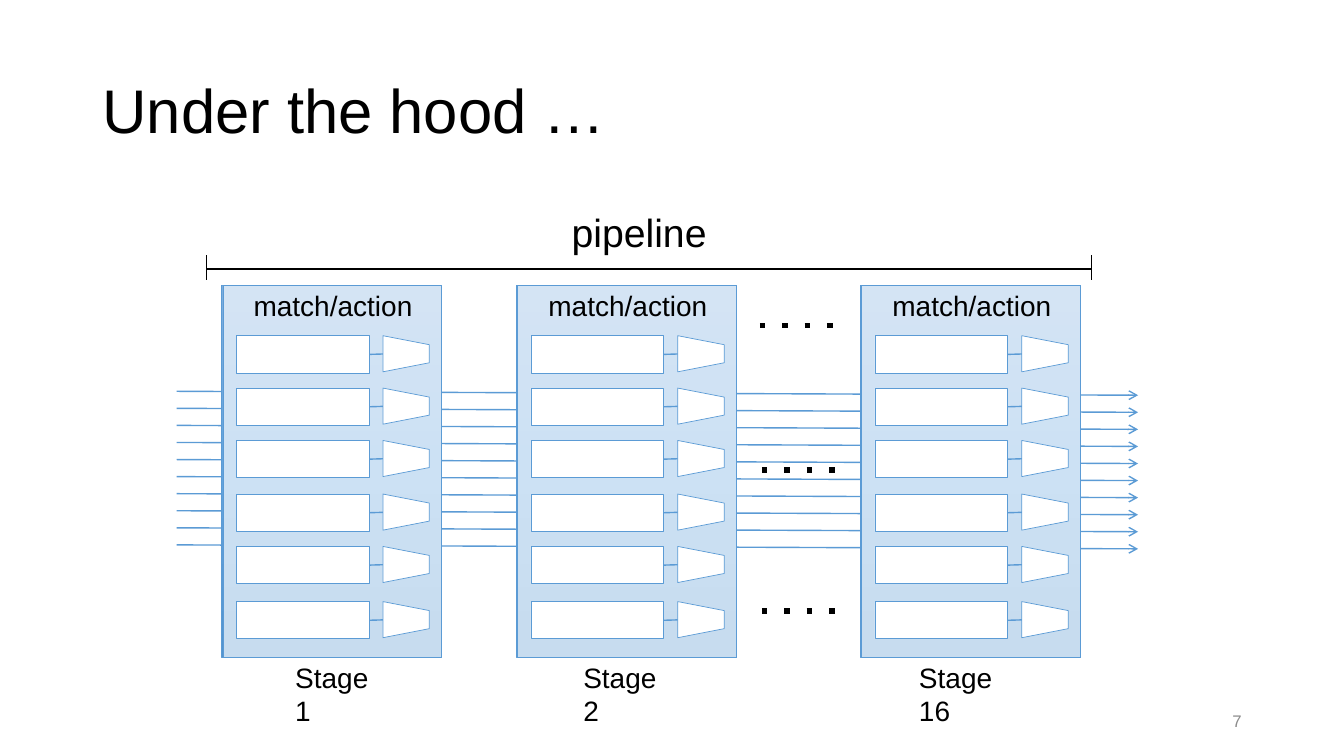
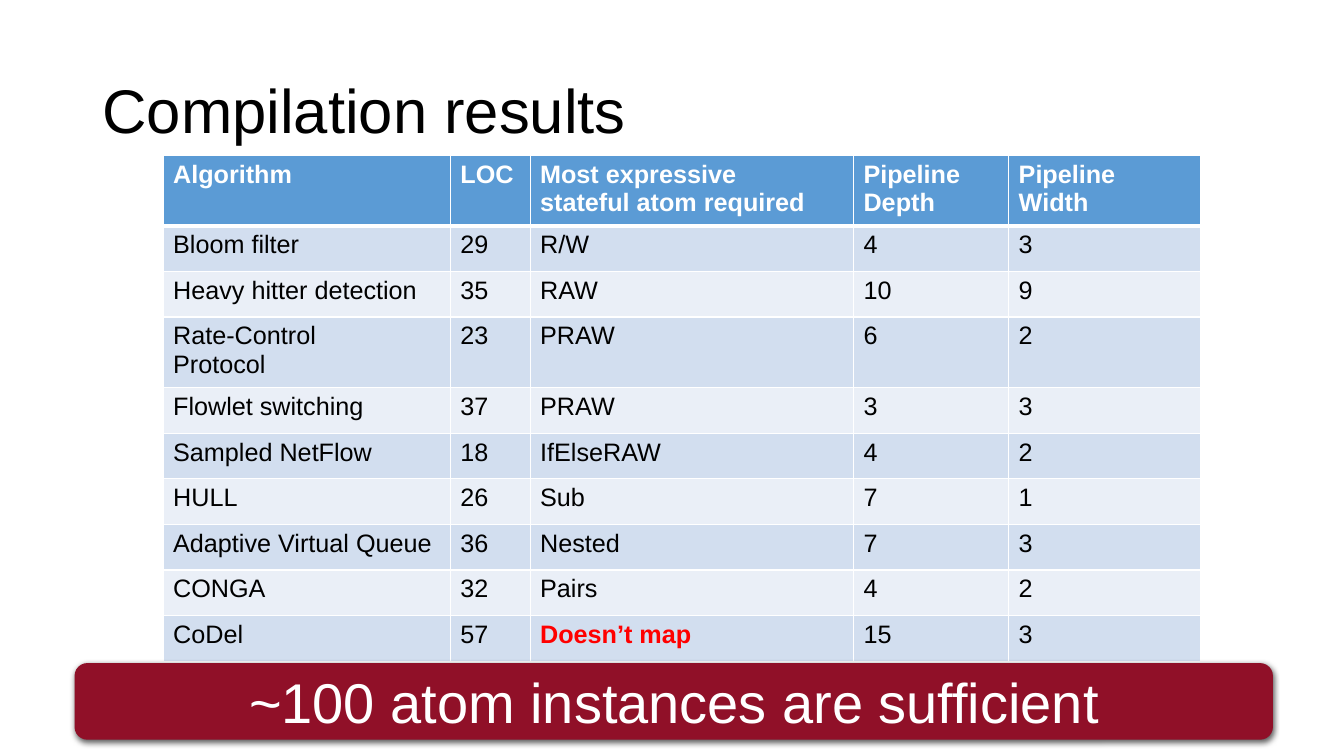
from copy import deepcopy
from dataclasses import dataclass

from lxml.etree import SubElement as add_sub
from pptx import Presentation
from pptx.dml.color import RGBColor
from pptx.enum.shapes import MSO_CONNECTOR as Link, MSO_SHAPE as Kind
from pptx.enum.text import MSO_ANCHOR as Anchor, PP_ALIGN as Align
from pptx.oxml.ns import qn
from pptx.util import Cm, Pt

BLACK = RGBColor(0x00, 0x00, 0x00)
WHITE = RGBColor(0xFF, 0xFF, 0xFF)
GRAY = RGBColor(0x8C, 0x8C, 0x8C)
BLUE = RGBColor(0x5B, 0x9B, 0xD5)
RED = RGBColor(0xFF, 0x00, 0x00)
WINE = RGBColor(0x90, 0x10, 0x28)
BANDS = (RGBColor(0xD2, 0xDE, 0xEF), RGBColor(0xEA, 0xEF, 0xF7))
FADE = (
    RGBColor(0x71, 0xA6, 0xDB),
    RGBColor(0x55, 0x9B, 0xDB),
    RGBColor(0x44, 0x8A, 0xCA),
)
FONT = "Arial"
WIDE_PADS = (0.36, 0.18)

STAGE_TOP, STAGE_W, STAGE_H = 7.19, 5.54, 9.37
UNIT_TOPS = (8.46, 9.78, 11.1, 12.45, 13.77, 15.16)
WIRES, WIRE_TOP, WIRE_STEP = 10, 9.86, 0.43

COLS = (7.24, 2.01, 8.15, 3.91, 4.83)
HEAD_H, ROW_H = 1.63, 1.15
ALERT = "Doesn’t map"
ROWS = (
    ("Algorithm", "LOC", "Most expressive\nstateful atom required",
     "Pipeline\nDepth", "Pipeline\nWidth"),
    ("Bloom filter", "29", "R/W", "4", "3"),
    ("Heavy hitter detection", "35", "RAW", "10", "9"),
    ("Rate-Control\nProtocol", "23", "PRAW", "6", "2"),
    ("Flowlet switching", "37", "PRAW", "3", "3"),
    ("Sampled NetFlow", "18", "IfElseRAW", "4", "2"),
    ("HULL", "26", "Sub", "7", "1"),
    ("Adaptive Virtual Queue", "36", "Nested", "7", "3"),
    ("CONGA", "32", "Pairs", "4", "2"),
    ("CoDel", "57", ALERT, "15", "3"),
)


@dataclass(frozen=True)
class Stage:
    name: str
    left: float
    tag_left: float
    tag_w: float


@dataclass(frozen=True)
class Dots:
    left: float
    top: float


STAGES = (
    Stage("Stage 1", 5.59, 7.19, 2.62),
    Stage("Stage 2", 13.02, 14.45, 2.72),
    Stage("Stage 16", 21.69, 22.91, 3.0),
)
DOTS = (Dots(19.15, 8.2), Dots(19.2, 15.39), Dots(19.2, 11.84))


def write(frame, text: str, *, size: float = 18, ink: RGBColor = BLACK,
          bold: bool = False, align=Align.LEFT, lead: float = 1.0) -> None:
    frame.text = text
    for para in frame.paragraphs:
        para.alignment = align
        para.line_spacing = lead
        font = para.font
        font.name, font.size, font.bold = FONT, Pt(size), bold
        font.color.rgb = ink


def label(slide, x: float, y: float, w: float, h: float, text: str, *,
          pads: tuple = (0.25, 0.13), anchor=Anchor.TOP, **style) -> None:
    frame = slide.shapes.add_textbox(Cm(x), Cm(y), Cm(w), Cm(h)).text_frame
    frame.word_wrap = True
    frame.vertical_anchor = anchor
    frame.margin_left = frame.margin_right = Cm(pads[0])
    frame.margin_top = frame.margin_bottom = Cm(pads[1])
    write(frame, text, **style)


def block(slide, x: float, y: float, w: float, h: float, *,
          kind=Kind.RECTANGLE, fill: RGBColor = WHITE,
          edge: RGBColor | None = BLUE):
    shape = slide.shapes.add_shape(kind, Cm(x), Cm(y), Cm(w), Cm(h))
    shape.shadow.inherit = False
    shape.fill.solid()
    shape.fill.fore_color.rgb = fill
    if edge is None:
        shape.line.fill.background()
    else:
        shape.line.color.rgb = edge
        shape.line.width = Pt(0.5)
    return shape


def rule(slide, x1: float, y1: float, x2: float, y2: float, *,
         ink: RGBColor = BLUE, width: float = 1, dash: str = "",
         tail: str = ""):
    line = slide.shapes.add_connector(
        Link.STRAIGHT, Cm(x1), Cm(y1), Cm(x2), Cm(y2))
    line.line.color.rgb = ink
    line.line.width = Pt(width)
    props = line._element.spPr
    stroke = props.find(qn("a:ln"))
    if dash:
        add_sub(stroke, qn("a:prstDash"), val=dash)
    if tail:
        add_sub(stroke, qn("a:tailEnd"), type=tail)
    add_sub(props, qn("a:effectLst"))
    return line


def blend(shape) -> None:
    shape.fill.gradient()
    shape.fill.gradient_angle = 270
    stops = shape._element.spPr.find(".//" + qn("a:gsLst"))
    stops.insert(1, deepcopy(stops[0]))
    for i, (stop, tint) in enumerate(zip(shape.fill.gradient_stops, FADE)):
        stop.color.rgb = tint
        stop.position = i / 2


def veil(shape, share: int) -> None:
    tint = shape._element.spPr.find(".//" + qn("a:srgbClr"))
    add_sub(tint, qn("a:alpha"), val=str(share * 1000))


def shade(shape) -> None:
    glow = add_sub(
        shape._element.spPr.find(qn("a:effectLst")), qn("a:outerShdw"),
        blurRad=str(Pt(4.5)), dist=str(Pt(1.5)), dir="5400000",
        algn="ctr", rotWithShape="0")
    tint = add_sub(glow, qn("a:srgbClr"), val=str(BLACK))
    add_sub(tint, qn("a:alpha"), val="63000")


def border(cell, low: float) -> None:
    props = cell._tc.get_or_add_tcPr()
    for side, width in (("L", 1), ("R", 1), ("T", 1), ("B", low)):
        edge = add_sub(props, qn(f"a:ln{side}"), w=str(Pt(width)))
        add_sub(add_sub(edge, qn("a:solidFill")), qn("a:srgbClr"),
                val=str(WHITE))


def draw_unit(slide, x: float, y: float) -> None:
    box = block(slide, x + 0.36, y, 3.35, 0.94)
    gate = block(slide, x + 4.19, y - 0.13, 0.91, 1.17, kind=Kind.TRAPEZOID)
    gate.rotation = 90
    link = rule(slide, x + 3.71, y + 0.47, x + 4.06, y + 0.46)
    link.begin_connect(box, 3)


def draw_stage(slide, stage: Stage) -> None:
    x = stage.left
    blend(block(slide, x, STAGE_TOP, STAGE_W, STAGE_H))
    veil(block(slide, x + 0.03, STAGE_TOP, STAGE_W - 0.03, STAGE_H), 70)
    for top in UNIT_TOPS:
        draw_unit(slide, x, top)
    label(slide, x + 0.44, 7.09, 4.88, 1.22, "match/action",
          pads=WIDE_PADS, size=20)
    label(slide, stage.tag_left, 16.51, stage.tag_w, 1.12, stage.name, size=20)


def draw_table(slide) -> None:
    height = HEAD_H + ROW_H * (len(ROWS) - 1)
    table = slide.shapes.add_table(
        len(ROWS), len(COLS), Cm(4.11), Cm(3.91),
        Cm(sum(COLS)), Cm(height)).table
    for col, width in zip(table.columns, COLS):
        col.width = Cm(width)
    for r, row in enumerate(ROWS):
        head = r == 0
        table.rows[r].height = Cm(HEAD_H if head else ROW_H)
        for c, text in enumerate(row):
            cell = table.cell(r, c)
            border(cell, 3 if head else 1)
            cell.fill.solid()
            cell.fill.fore_color.rgb = BLUE if head else BANDS[(r - 1) % 2]
            alert = text == ALERT
            ink = WHITE if head else RED if alert else BLACK
            write(cell.text_frame, text, ink=ink, bold=head or alert)


def new_slide(deck, title: str):
    slide = deck.slides.add_slide(deck.slide_layouts[6])
    label(slide, 2.33, 1.01, 29.21, 3.68, title,
          anchor=Anchor.MIDDLE, size=44, lead=0.9)
    return slide


def draw_hood(deck) -> None:
    slide = new_slide(deck, "Under the hood …")
    label(slide, 23.92, 17.66, 7.62, 1.01, "7", anchor=Anchor.MIDDLE,
          size=12, ink=GRAY, align=Align.RIGHT)
    for i in range(WIRES):
        y = WIRE_TOP + i * WIRE_STEP
        rule(slide, 4.45, y, 28.68, y + 0.1, tail="arrow")
    for dots in DOTS:
        rule(slide, dots.left, dots.top, dots.left + 2.18, dots.top,
             ink=BLACK, width=4, dash="dot")
    left, right = 5.21, 27.51
    for x in (left, right):
        rule(slide, x, 6.43, x, 7.06, ink=BLACK)
    rule(slide, right, 6.78, left, 6.78, ink=BLACK)
    label(slide, 12.42, 5.08, 7.37, 1.57, "pipeline",
          pads=WIDE_PADS, size=28, align=Align.CENTER)
    for stage in STAGES:
        draw_stage(slide, stage)


def draw_results(deck) -> None:
    slide = new_slide(deck, "Compilation results")
    draw_table(slide)
    banner = block(slide, 1.88, 16.71, 30.2, 1.93,
                   kind=Kind.ROUNDED_RECTANGLE, fill=WINE, edge=None)
    shade(banner)
    banner.text_frame.vertical_anchor = Anchor.MIDDLE
    write(banner.text_frame, "~100 atom instances are sufficient",
          size=40, ink=WHITE, align=Align.CENTER)


def main() -> None:
    deck = Presentation()
    deck.slide_width, deck.slide_height = Cm(33.87), Cm(19.05)
    draw_hood(deck)
    draw_results(deck)
    deck.save("out.pptx")


if __name__ == "__main__":
    main()
